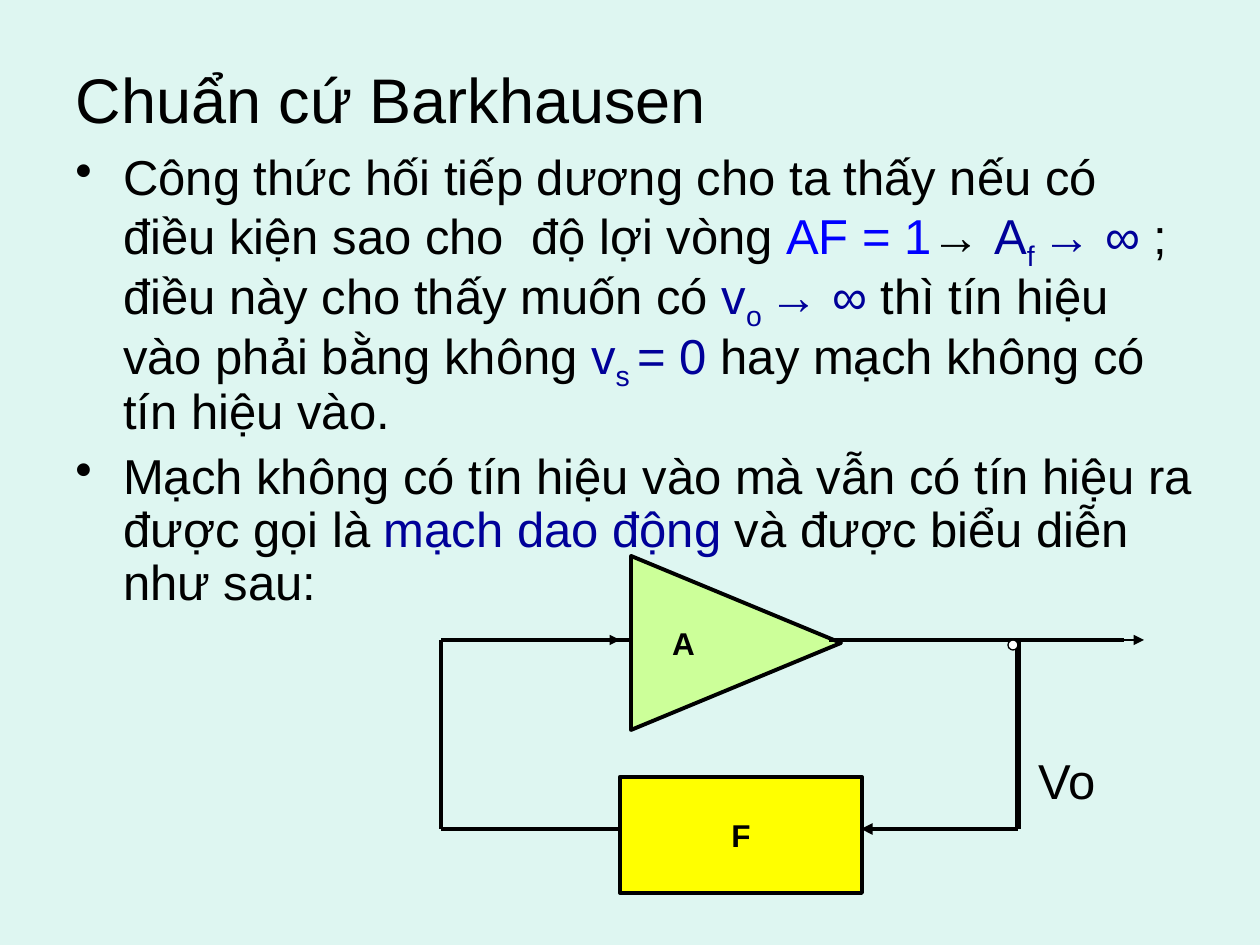
"""Build the Barkhausen criterion slide with its feedback loop diagram."""
from typing import NamedTuple

from lxml import etree
from pptx import Presentation
from pptx import util as u
from pptx.dml.color import RGBColor
from pptx.enum import shapes, text
from pptx.oxml.ns import qn

PX = 1 / 126
FONT = "Arial"
BLACK, BLUE, NAVY = "000000", "0000FF", "000099"
FRAME = {"word_wrap": True, "auto_size": text.MSO_AUTO_SIZE.NONE}


class Run(NamedTuple):
    text: str
    color: str = BLACK
    subscript: bool = False


class Block(NamedTuple):
    preset: shapes.MSO_SHAPE
    box: tuple[int, int, int, int]
    fill: str
    weight: float = 2.25
    label: str = ""
    rotation: int = 0


class Wire(NamedTuple):
    start: tuple[int, int]
    end: tuple[int, int]
    weight: float = 2.25
    arrow: bool = False


BULLETS = [
    [
        Run("Công thức hối tiếp dương cho ta thấy nếu có điều kiện sao cho  độ lợi vòng "),
        Run("AF = 1", BLUE), Run("→ "), Run("A", NAVY), Run("f ", NAVY, True),
        Run("→ ∞", NAVY), Run(" ; điều này cho thấy muốn có "),
        Run("v", NAVY), Run("o ", NAVY, True), Run("→ ∞ ", NAVY),
        Run("thì tín hiệu vào phải bằng không "),
        Run("v", NAVY), Run("s ", NAVY, True), Run("= 0", NAVY),
        Run(" hay mạch không có tín hiệu vào."),
    ],
    [
        Run("Mạch không có tín hiệu vào mà vẫn có tín hiệu ra được gọi là "),
        Run("mạch dao động ", NAVY),
        Run("và được biểu diễn như sau:"),
    ],
]

LEFT, NODE, TOP, BOTTOM = 441, 1018, 640, 829
AMPLIFIER = Block(shapes.MSO_SHAPE.ISOSCELES_TRIANGLE, (649, 538, 174, 210),
                  "CCFF99", label="A", rotation=90)
FEEDBACK = Block(shapes.MSO_SHAPE.RECTANGLE, (620, 777, 242, 116), "FFFF00", label="F")
TERMINAL = Block(shapes.MSO_SHAPE.OVAL, (1008, 640, 10, 10), "FFFFFF", weight=0.75)
WIRES = [
    Wire((829, TOP), (1124, TOP)),
    Wire((NODE, TOP), (NODE, BOTTOM), weight=3),
    Wire((NODE, BOTTOM), (861, BOTTOM), arrow=True),
    Wire((LEFT, TOP), (630, TOP)),
    Wire((LEFT, TOP), (LEFT, BOTTOM)),
    Wire((LEFT, BOTTOM), (620, BOTTOM)),
    Wire((557, TOP), (620, TOP), weight=0.75, arrow=True),
    Wire((1081, TOP), (1144, TOP), weight=0.75, arrow=True),
]


def px(*values: int) -> list[u.Emu]:
    """Turn pixels into EMU."""
    return [u.Inches(value * PX) for value in values]


def color(value: str) -> RGBColor:
    """Turn a hex string into a colour."""
    return RGBColor.from_string(value)


def apply(target, values: dict) -> None:
    """Set each format value on the target."""
    for name, value in values.items():
        setattr(target, name, value)


def add_run(paragraph, run: Run, size: int, bold: bool = False) -> None:
    """Add one formatted run to a paragraph."""
    item = paragraph.add_run()
    item.text = run.text
    apply(item.font, {"name": FONT, "size": u.Pt(size), "bold": bold})
    item.font.color.rgb = color(run.color)
    if run.subscript:
        item.font._element.set("baseline", "-25000")


def add_title(slide, words: str) -> None:
    """Place and format the title placeholder."""
    title = slide.shapes.title
    apply(title, dict(zip(("left", "top", "width", "height"), px(63, 38, 1134, 120))))
    apply(title.text_frame, {**FRAME, "vertical_anchor": text.MSO_ANCHOR.MIDDLE})
    paragraph = title.text_frame.paragraphs[0]
    paragraph.alignment = text.PP_ALIGN.LEFT
    add_run(paragraph, Run(words), 36)


def add_bullets(slide, bullets: list[list[Run]]) -> None:
    """Add the bulleted body text."""
    frame = slide.shapes.add_textbox(*px(63, 147, 1144, 480)).text_frame
    apply(frame, FRAME)
    for index, runs in enumerate(bullets):
        paragraph = frame.add_paragraph() if index else frame.paragraphs[0]
        properties = paragraph._p.get_or_add_pPr()
        properties.set("marL", str(u.Inches(0.38)))
        properties.set("indent", str(-u.Inches(0.38)))
        etree.SubElement(properties, qn("a:buChar")).set("char", "•")
        apply(paragraph, {"line_spacing": 0.9, "space_before": u.Pt(7 if index else 0)})
        for run in runs:
            add_run(paragraph, run, 28)


def add_block(slide, block: Block) -> None:
    """Add one outlined shape with an upright label."""
    shape = slide.shapes.add_shape(block.preset, *px(*block.box))
    shape.rotation = block.rotation
    shape.shadow.inherit = False
    shape.fill.solid()
    shape.fill.fore_color.rgb = color(block.fill)
    shape.line.color.rgb = color(BLACK)
    shape.line.width = u.Pt(block.weight)
    if block.label:
        frame = shape.text_frame
        apply(frame, {"word_wrap": False, "vertical_anchor": text.MSO_ANCHOR.MIDDLE})
        if block.rotation:
            frame._txBody.bodyPr.set("vert", "vert270")
        paragraph = frame.paragraphs[0]
        paragraph.alignment = text.PP_ALIGN.CENTER
        add_run(paragraph, Run(block.label), 18, bold=True)


def add_wire(slide, wire: Wire) -> None:
    """Add one straight wire, with an arrowhead where asked."""
    connector = slide.shapes.add_connector(
        shapes.MSO_CONNECTOR.STRAIGHT, *px(*wire.start, *wire.end))
    connector.line.color.rgb = color(BLACK)
    connector.line.width = u.Pt(wire.weight)
    if wire.arrow:
        line = connector.line._get_or_add_ln()
        etree.SubElement(line, qn("a:tailEnd")).set("type", "triangle")
    etree.SubElement(connector._element.spPr, qn("a:effectLst"))


def add_output_label(slide, words: str) -> None:
    """Name the output voltage beside the feedback wire."""
    frame = slide.shapes.add_textbox(*px(1026, 744, 120, 70)).text_frame
    apply(frame, FRAME)
    add_run(frame.paragraphs[0], Run(words), 28)


def main() -> None:
    """Build and save the slide."""
    presentation = Presentation()
    apply(presentation, {"slide_width": u.Inches(10), "slide_height": u.Inches(7.5)})
    slide = presentation.slides.add_slide(presentation.slide_layouts.get_by_name("Title Only"))
    slide.background.fill.solid()
    slide.background.fill.fore_color.rgb = color("DEF6F1")
    add_title(slide, "Chuẩn cứ Barkhausen")
    add_bullets(slide, BULLETS)
    for block in (AMPLIFIER, FEEDBACK):
        add_block(slide, block)
    for wire in WIRES:
        add_wire(slide, wire)
    add_block(slide, TERMINAL)
    add_output_label(slide, "Vo")
    presentation.save("out.pptx")


if __name__ == "__main__":
    main()
